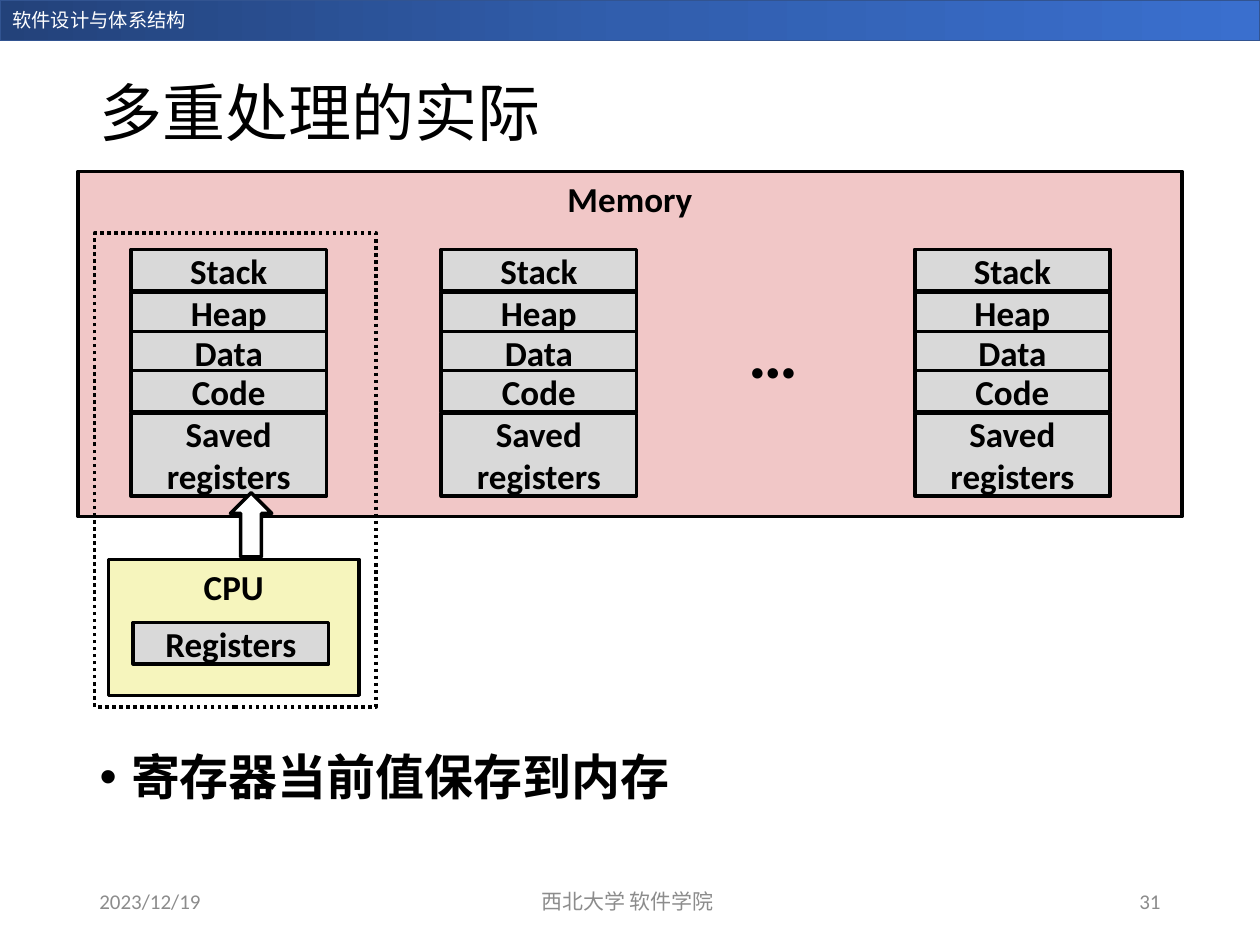
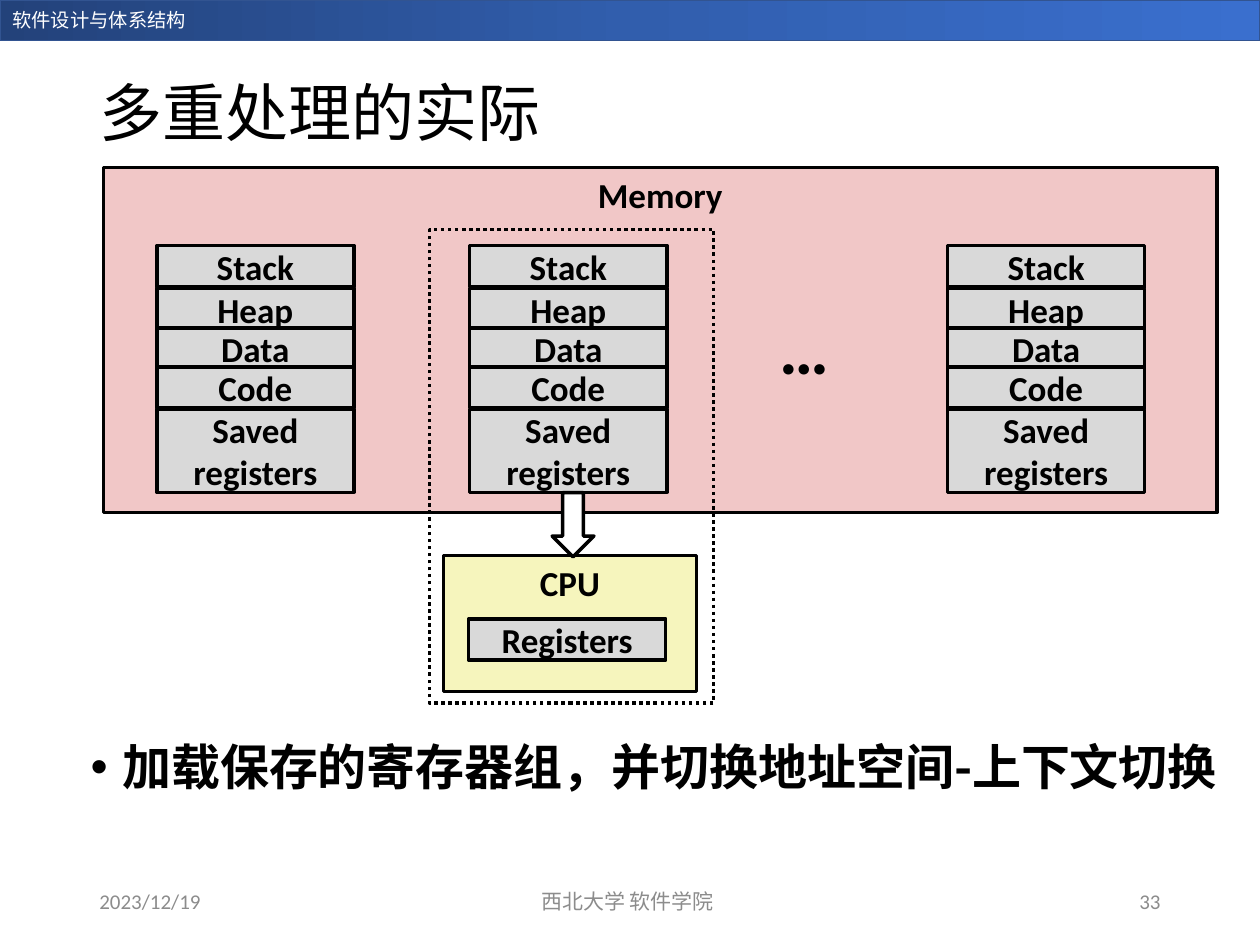
from copy import deepcopy
from dataclasses import dataclass

from lxml.etree import SubElement
from pptx import Presentation
from pptx.dml.color import RGBColor
from pptx.enum.dml import MSO_LINE
from pptx.enum.shapes import MSO_SHAPE as Shape
from pptx.enum.text import MSO_ANCHOR as Anchor, MSO_AUTO_SIZE as AutoSize, PP_ALIGN as Align
from pptx.oxml.ns import qn
from pptx.util import Inches, Pt


@dataclass(frozen=True)
class Theme:
    latin: str = "Calibri"
    chinese: str = "Noto Sans CJK SC"
    ink: str = "000000"
    paper: str = "FFFFFF"
    muted: str = "8C8C8C"
    memory: str = "F1C7C7"
    cpu: str = "F6F5BD"
    cell: str = "D9D9D9"
    band: tuple = ("23427A", "315EAD", "3A6FCE")
    band_line: str = "325491"
    band_size: int = 11
    footer_size: int = 12
    label_size: int = 20
    bullet_size: int = 28
    title_size: int = 36
    ellipsis_size: int = 40


@dataclass(frozen=True)
class Region:
    """An area in inches, divided into 100 columns and 100 rows."""
    left: float
    top: float
    width: float
    height: float

    def box(self, column, row, columns, rows):
        return [Inches(length) for length in (
            self.left + column * self.width / 100, self.top + row * self.height / 100,
            columns * self.width / 100, rows * self.height / 100)]


PAGE = Region(0, 0, 10, 7.5)
STACK_COLUMNS = (4.8, 32.9, 75.8)
CELL_WIDTH, CELL_HEIGHT = 17.7, 12
SEGMENTS = (("Stack", 22.6, 1), ("Heap", 35, 1), ("Data", 46.4, 1),
            ("Code", 57.7, 1), ("Saved registers", 70.1, 2))


def set_all(target, formats):
    for name, value in formats.items():
        setattr(target, name, value)


class Deck:
    def __init__(self, theme):
        self.theme = theme
        self.presentation = Presentation()
        set_all(self.presentation, {"slide_width": Inches(PAGE.width),
                                    "slide_height": Inches(PAGE.height)})
        self.slide = None

    def fill_text(self, shape, text, size, color=None, font=None, bold=False,
                  align=Align.LEFT, anchor=Anchor.TOP, wrap=True):
        frame = shape.text_frame
        frame.text = text
        set_all(frame, {"auto_size": AutoSize.NONE, "word_wrap": wrap,
                        "vertical_anchor": anchor})
        paragraph = frame.paragraphs[0]
        paragraph.alignment = align
        run = paragraph.runs[0]
        set_all(run.font, {"size": Pt(size), "bold": bold, "name": font or self.theme.latin})
        run.font.color.rgb = RGBColor.from_string(color or self.theme.ink)
        latin = run._r.rPr.find(qn("a:latin"))
        east_asian = deepcopy(latin)
        east_asian.tag = qn("a:ea")
        east_asian.set("typeface", self.theme.chinese)
        latin.addnext(east_asian)
        return paragraph

    def text(self, box, text, size, **formats):
        return self.fill_text(self.slide.shapes.add_textbox(*box), text, size, **formats)

    def block(self, box, fill=None, text=None, kind=Shape.RECTANGLE,
              line=None, line_width=2, dash=None, anchor=Anchor.MIDDLE):
        shape = self.slide.shapes.add_shape(kind, *box)
        shape.shadow.inherit = False
        if fill:
            shape.fill.solid()
            shape.fill.fore_color.rgb = RGBColor.from_string(fill)
        else:
            shape.fill.background()
        shape.line.color.rgb = RGBColor.from_string(line or self.theme.ink)
        set_all(shape.line, {"width": Pt(line_width), "dash_style": dash})
        if text:
            self.fill_text(shape, text, self.theme.label_size, bold=True,
                           align=Align.CENTER, anchor=anchor)
        return shape

    def band(self, text):
        theme = self.theme
        band = self.block(PAGE.box(0, 0, 100, 4.3), theme.band[0],
                          line=theme.band_line, line_width=1)
        band.fill.gradient()
        band.fill.gradient_angle = 0
        stops = band._element.spPr.find(qn("a:gradFill")).find(qn("a:gsLst"))
        stops.insert(1, deepcopy(stops[0]))
        for index, (stop, color) in enumerate(zip(band.fill.gradient_stops, theme.band)):
            stop.color.rgb = RGBColor.from_string(color)
            stop.position = index / 2
        self.text(PAGE.box(0, 0.27, 24.9, 3.87), text, theme.band_size, color=theme.paper)

    def placeholder(self, shape, box, text, size, **formats):
        set_all(shape, dict(zip(("left", "top", "width", "height"), box)))
        paragraph = self.fill_text(shape, text, size, font=self.theme.chinese, **formats)
        paragraph.line_spacing = 0.9
        return paragraph

    def bullet(self, box, text):
        paragraph = self.placeholder(self.slide.placeholders[1], box, text,
                                     self.theme.bullet_size, bold=True)
        paragraph.space_before = Pt(10)
        properties = paragraph._p.get_or_add_pPr()
        properties.set("marL", str(Inches(0.25)))
        properties.set("indent", str(-Inches(0.25)))
        SubElement(properties, qn("a:buFont")).set("typeface", "Arial")
        SubElement(properties, qn("a:buChar")).set("char", "•")

    def footer(self, number):
        for column, columns, text, align in (
                (6.9, 22.5, "2023/12/19", Align.LEFT),
                (33.1, 33.8, "西北大学 软件学院 ", Align.CENTER),
                (70.6, 22.5, number, Align.RIGHT)):
            self.text(PAGE.box(column, 92.67, columns, 5.33), text, self.theme.footer_size,
                      color=self.theme.muted, align=align, anchor=Anchor.MIDDLE)

    def page(self, title, number):
        """Start a slide with the shared band, title and footer."""
        self.slide = self.presentation.slides.add_slide(self.presentation.slide_layouts[1])
        self.band("软件设计与体系结构")
        self.placeholder(self.slide.shapes.title, PAGE.box(6.9, 5.33, 86.2, 14), title,
                         self.theme.title_size, anchor=Anchor.MIDDLE)
        self.footer(number)

    def process_memory(self, region, column):
        for name, row, lines in SEGMENTS:
            self.block(region.box(column, row, CELL_WIDTH, lines * CELL_HEIGHT),
                       self.theme.cell, name)

    def multiprocessing(self, region, active, arrow, arrow_at):
        """Draw memory with its processes, and the CPU framed with the active one.

        active is the frame's left column in the region.
        """
        theme = self.theme
        self.block(region.box(active + 1.25, 112.4, 22.7, 39.4), theme.cpu, "CPU",
                   anchor=Anchor.TOP)
        self.block(region.box(active + 3.5, 130.7, CELL_WIDTH, CELL_HEIGHT),
                   theme.cell, "Registers")
        self.block(region.box(0, 0, 100, 100), theme.memory, "Memory", anchor=Anchor.TOP)
        for column in STACK_COLUMNS:
            self.process_memory(region, column)
        self.block(region.box(active, 17.9, 25.5, 137.2), dash=MSO_LINE.ROUND_DOT)
        self.text(region.box(59.6, 38, 6.8, 28), "…", theme.ellipsis_size,
                  bold=True, wrap=False)
        self.block(region.box(*arrow_at, 3.75, 18.6), theme.paper, kind=arrow)


def main():
    deck = Deck(Theme())
    title = "多重处理的实际"

    deck.page(title, "31")
    deck.bullet(PAGE.box(6.9, 79.07, 68.2, 13), "寄存器当前值保存到内存")
    deck.multiprocessing(Region(0.62, 1.36, 8.76, 2.74), active=1.5,
                         arrow=Shape.UP_ARROW, arrow_at=(13.8, 93.1))

    deck.page(title, "33")
    deck.bullet(PAGE.box(6.2, 78, 93.8, 14.67), "加载保存的寄存器组，并切换地址空间-上下文切换")
    deck.multiprocessing(Region(0.82, 1.33, 8.84, 2.74), active=29.3,
                         arrow=Shape.DOWN_ARROW, arrow_at=(40.3, 94.2))

    deck.presentation.save("out.pptx")


if __name__ == "__main__":
    main()
